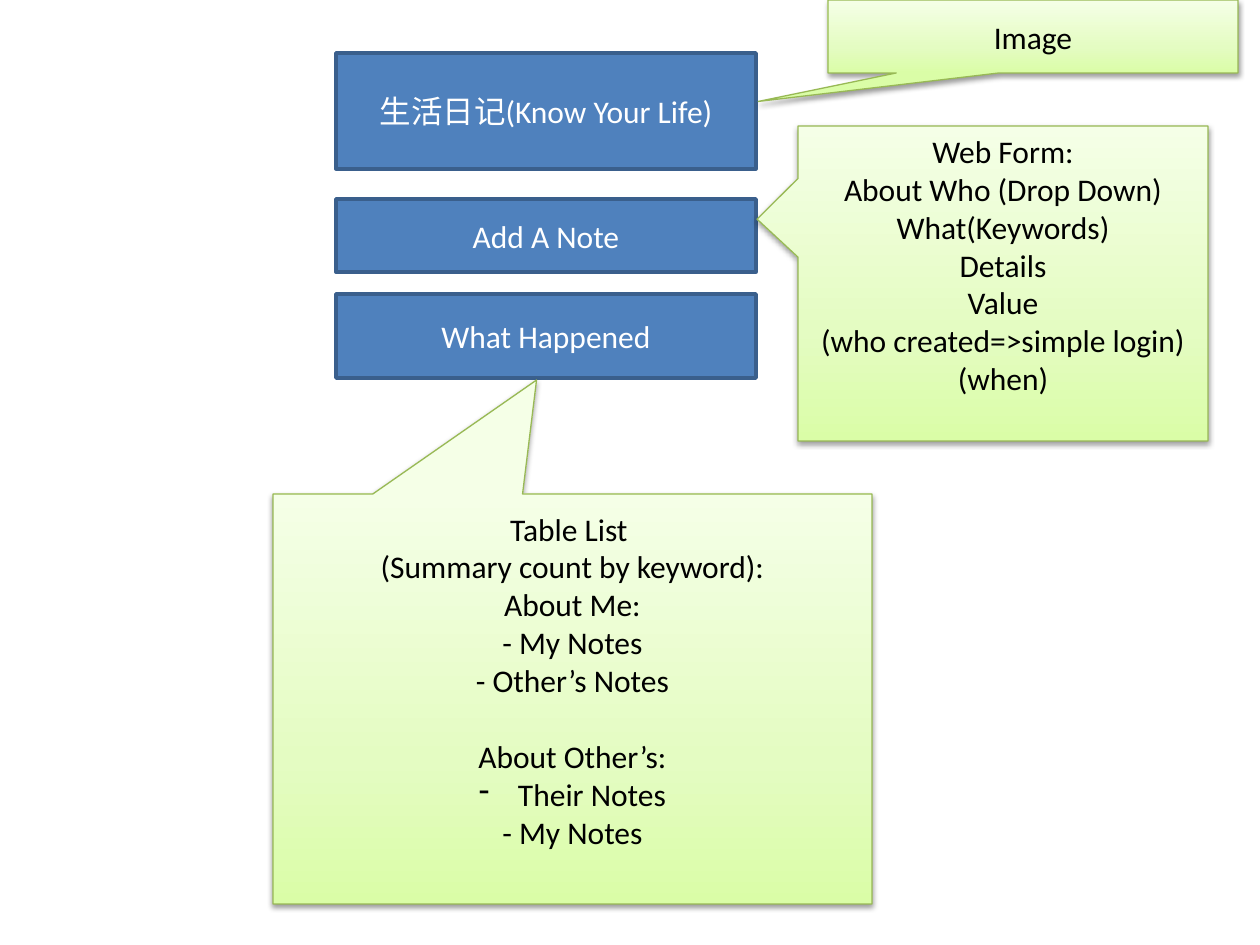
import pptx
import pptx.util
import pptx.dml.color
import pptx.enum.shapes
import pptx.enum.text
import pptx.oxml
import pptx.oxml.ns

RGB = pptx.dml.color.RGBColor
SHAPE = pptx.enum.shapes.MSO_SHAPE
BLUE = RGB(0x4F, 0x81, 0xBD)
BLUE_EDGE = RGB(0x3A, 0x5F, 0x8C)
GREEN_EDGE = RGB(0x98, 0xB9, 0x55)
GREEN_STOPS = (
    (0, RGB(0xDA, 0xFD, 0xA7)),
    (35, RGB(0xE4, 0xFC, 0xC2)),
    (100, RGB(0xF5, 0xFF, 0xE7)),
)
WHITE = RGB(0xFF, 0xFF, 0xFF)
BLACK = RGB(0, 0, 0)
LINE_HEIGHT = 22
LINE_PX = 38
INSET_PX = 6
NS = pptx.oxml.ns.nsdecls("a")

BUTTONS = (
    (53, 116, "生活日记(Know Your Life)"),
    (199, 73, "Add A Note"),
    (294, 84, "What Happened"),
)
FORM_LINES = (
    "Web Form:", "About Who (Drop Down)", "What(Keywords)", "Details",
    "Value", "(who created=>simple login)", "(when)",
)
LIST_LINES = (
    "Table List ", "(Summary count by keyword):", "About Me:", "- My Notes",
    "- Other’s Notes", "About Other’s:", "Their Notes", "- My Notes",
)


def px(n):
    return pptx.util.Emu(round(n * 914400 / 126))


def add_box(slide, kind, box, edge, width, lines, color):
    sp = slide.shapes.add_shape(kind, *map(px, box))
    sp.shadow.inherit = False
    sp.line.color.rgb = edge
    sp.line.width = pptx.util.Pt(width)
    tf = sp.text_frame
    tf.word_wrap = True
    tf.vertical_anchor = pptx.enum.text.MSO_ANCHOR.MIDDLE
    tf.text = "\n".join(lines)
    for p in tf.paragraphs:
        p.alignment = pptx.enum.text.PP_ALIGN.CENTER
        p.font.name = "Calibri"
        p.font.size = pptx.util.Pt(18)
        p.font.color.rgb = color
    return sp


def add_button(slide, top, height, text):
    sp = add_box(slide, SHAPE.RECTANGLE, (336, top, 420, height),
                 BLUE_EDGE, 2, [text], WHITE)
    sp.fill.solid()
    sp.fill.fore_color.rgb = BLUE


def set_green_gradient(sp):
    stops = "".join(
        f'<a:gs pos="{pos * 1000}"><a:srgbClr val="{color}"/></a:gs>'
        for pos, color in GREEN_STOPS)
    grad = pptx.oxml.parse_xml(
        f'<a:gradFill {NS} rotWithShape="1"><a:gsLst>{stops}</a:gsLst>'
        '<a:lin ang="16200000" scaled="0"/></a:gradFill>')
    sp.fill.background()
    sp_pr = sp.element.spPr
    sp_pr.replace(sp_pr.find(pptx.oxml.ns.qn("a:noFill")), grad)


def set_shadow(sp):
    effects = sp.element.spPr.find(pptx.oxml.ns.qn("a:effectLst"))
    effects.append(pptx.oxml.parse_xml(
        f'<a:outerShdw {NS} blurRad="40000" dist="20000" dir="5400000" '
        f'rotWithShape="0"><a:srgbClr val="{BLACK}"><a:alpha val="38000"/>'
        '</a:srgbClr></a:outerShdw>'))


def add_callout(slide, box, tail, lines, space_below=0):
    sp = add_box(slide, SHAPE.RECTANGULAR_CALLOUT, box,
                 GREEN_EDGE, 0.75, lines, BLACK)
    sp.adjustments[0], sp.adjustments[1] = tail
    set_green_gradient(sp)
    set_shadow(sp)
    sp.text_frame.margin_bottom = px(INSET_PX + space_below)
    return sp.text_frame.paragraphs


def set_dash_bullet(p):
    p_pr = p._p.get_or_add_pPr()
    indent = pptx.util.Inches(0.31)
    p_pr.set("marL", str(indent))
    p_pr.set("indent", str(-indent))
    bullet = pptx.oxml.parse_xml(f'<a:buChar {NS} char="-"/>')
    p_pr.insert_element_before(bullet, "a:tabLst", "a:defRPr", "a:extLst")


def main():
    prs = pptx.Presentation()
    prs.slide_width = px(1260)
    prs.slide_height = px(945)
    slide = prs.slides.add_slide(prs.slide_layouts[6])
    for button in BUTTONS:
        add_button(slide, *button)
    add_callout(slide, (828, 0, 410, 73), (-0.67, 0.89), ["Image"])
    add_callout(slide, (798, 126, 410, 315), (-0.6, -0.204),
                FORM_LINES, LINE_PX)
    paragraphs = add_callout(slide, (273, 494, 599, 410), (-0.06, -0.778),
                             LIST_LINES, LINE_PX)
    paragraphs[5].space_before = pptx.util.Pt(LINE_HEIGHT)
    set_dash_bullet(paragraphs[6])
    prs.save("out.pptx")


main()
